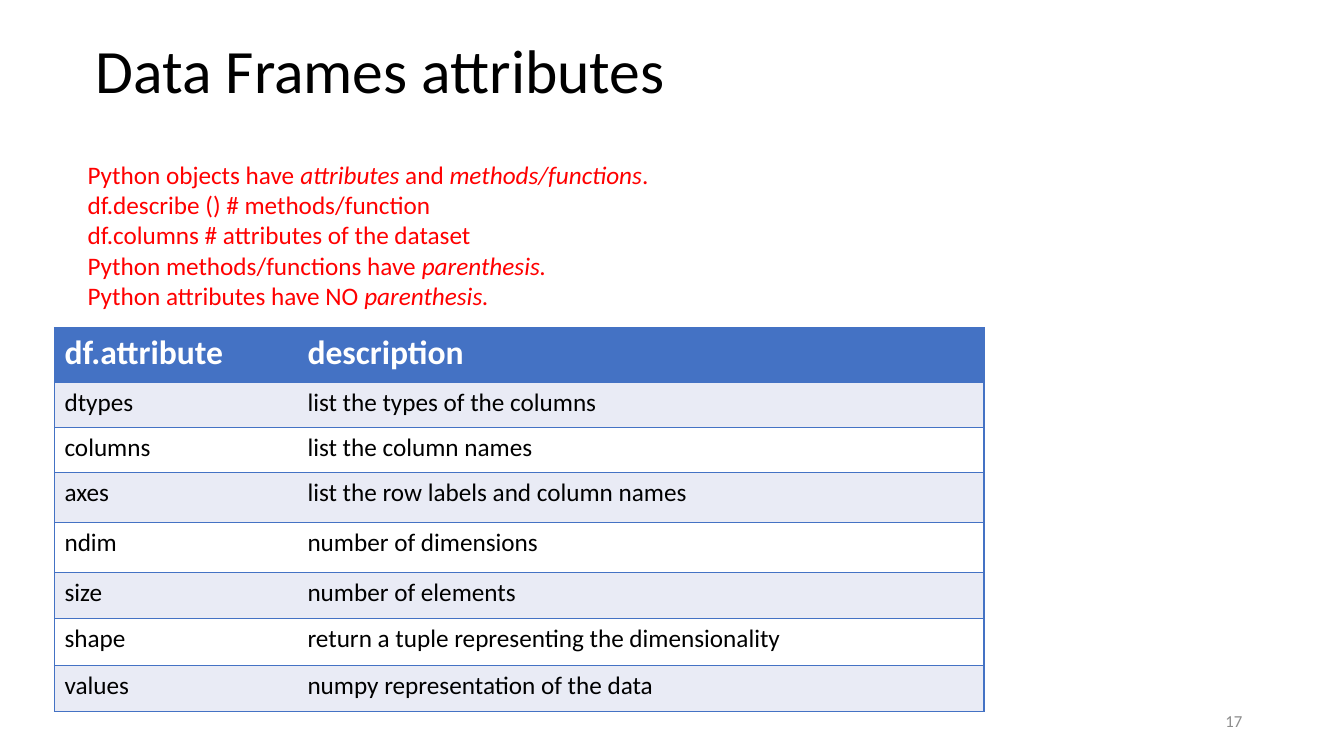
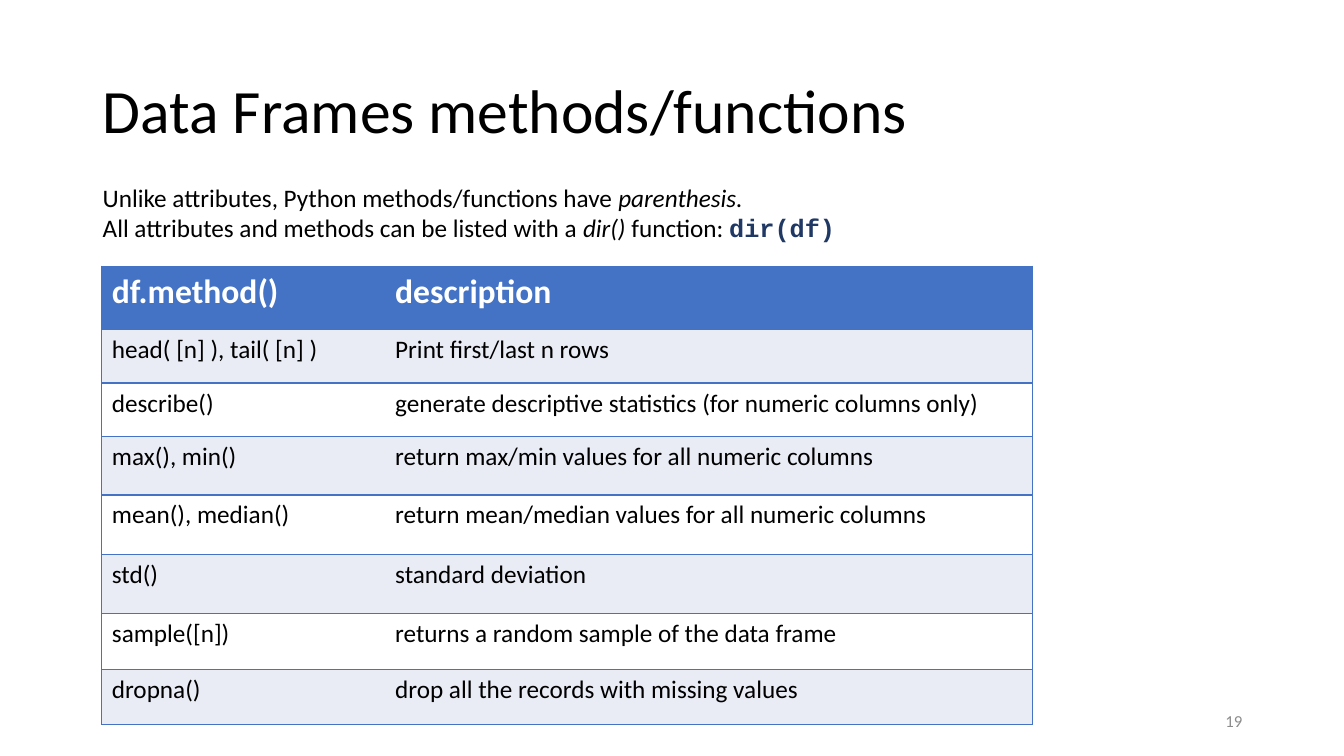
from dataclasses import dataclass

from lxml.etree import SubElement
from pptx import Presentation
from pptx.dml.color import RGBColor
from pptx.enum.text import MSO_ANCHOR, MSO_AUTO_SIZE, PP_ALIGN
from pptx.oxml.ns import qn
from pptx.util import Pt

EMU_PER_PX = 9144  # 100 px to the inch


@dataclass(frozen=True)
class Theme:
    font: str = "Calibri"
    code_font: str = "Courier New"
    black: RGBColor = RGBColor(0x00, 0x00, 0x00)
    white: RGBColor = RGBColor(0xFF, 0xFF, 0xFF)
    red: RGBColor = RGBColor(0xFF, 0x00, 0x00)
    gray: RGBColor = RGBColor(0x8C, 0x8C, 0x8C)
    navy: RGBColor = RGBColor(0x20, 0x38, 0x64)
    blue: RGBColor = RGBColor(0x44, 0x72, 0xC4)
    band: RGBColor = RGBColor(0xE9, 0xEB, 0xF5)
    title_size: int = 44
    header_size: int = 24
    body_size: int = 18
    number_size: int = 12
    border_width: int = 1


THEME = Theme()


@dataclass(frozen=True)
class Span:
    text: str
    italic: bool = False
    code: bool = False


def px(length):
    return length * EMU_PER_PX


def style(font, size, color, bold=False, italic=False, name=THEME.font):
    font.name = name
    font.size = Pt(size)
    font.color.rgb = color
    font.bold = bold
    font.italic = italic


def add_text_box(page, left, top, width, height, anchor=MSO_ANCHOR.TOP):
    box = page.shapes.add_textbox(px(left), px(top), px(width), px(height))
    frame = box.text_frame
    frame.word_wrap = True
    frame.vertical_anchor = anchor
    return frame


# Parts shared by the pages
def add_title(page, left, top, text):
    frame = add_text_box(page, left, top, 1150, 145, MSO_ANCHOR.MIDDLE)
    frame.text = text
    para = frame.paragraphs[0]
    para.line_spacing = 0.9
    style(para.runs[0].font, THEME.title_size, THEME.black)


def add_page_number(page, number):
    frame = add_text_box(page, 942, 695, 300, 40, MSO_ANCHOR.MIDDLE)
    frame.text = str(number)
    para = frame.paragraphs[0]
    para.alignment = PP_ALIGN.RIGHT
    style(para.runs[0].font, THEME.number_size, THEME.gray)


def add_page(deck, title, title_left, title_top, number):
    page = deck.slides.add_slide(deck.slide_layouts[6])
    add_title(page, title_left, title_top, title)
    add_page_number(page, number)
    return page


# Introductory lines made of plain, italic and code spans
def add_intro(page, left, top, height, lines, color):
    frame = add_text_box(page, left, top, 819, height)
    frame.auto_size = MSO_AUTO_SIZE.SHAPE_TO_FIT_TEXT
    for index, spans in enumerate(lines):
        para = frame.add_paragraph() if index else frame.paragraphs[0]
        for span in spans:
            run = para.add_run()
            run.text = span.text
            if span.code:
                style(run.font, THEME.body_size, THEME.navy, bold=True,
                      name=THEME.code_font)
            else:
                style(run.font, THEME.body_size, color, italic=span.italic)


# Reference table
def set_borders(cell, visible_sides):
    properties = cell._tc.get_or_add_tcPr()
    for side in "LRTB":
        line = SubElement(properties, qn(f"a:ln{side}"),
                          w=str(Pt(THEME.border_width)))
        if side in visible_sides:
            fill = SubElement(line, qn("a:solidFill"))
            SubElement(fill, qn("a:srgbClr"), val=str(THEME.blue))
        else:
            SubElement(line, qn("a:noFill"))


def fill_cell(cell, text, row, column):
    cell.text = text
    font = cell.text_frame.paragraphs[0].runs[0].font
    set_borders(cell, "TB" + "LR"[column])
    cell.fill.solid()
    if row == 0:
        style(font, THEME.header_size, THEME.white, bold=True)
        cell.fill.fore_color.rgb = THEME.blue
    else:
        style(font, THEME.body_size, THEME.black)
        cell.fill.fore_color.rgb = THEME.band if row % 2 else THEME.white


def add_reference_table(page, left, top, widths, heights, rows):
    table = page.shapes.add_table(
        len(rows), len(widths), px(left), px(top),
        px(sum(widths)), px(sum(heights))).table
    table.horz_banding = False
    for column, width in zip(table.columns, widths):
        column.width = px(width)
    for row, height in zip(table.rows, heights):
        row.height = px(height)
    for row_index, texts in enumerate(rows):
        for column_index, text in enumerate(texts):
            fill_cell(table.cell(row_index, column_index), text,
                      row_index, column_index)


# Pages
def add_attributes_page(deck):
    page = add_page(deck, "Data Frames attributes", 85, 0, 17)
    lines = [
        [Span("Python objects have "), Span("attributes", italic=True),
         Span(" and "), Span("methods/functions", italic=True), Span(".")],
        [Span("df.describe () # methods/function")],
        [Span("df.columns # attributes of the dataset")],
        [Span("Python methods/functions have "),
         Span("parenthesis.", italic=True)],
        [Span("Python attributes have NO "),
         Span("parenthesis.", italic=True)],
    ]
    add_intro(page, 77, 153, 162, lines, THEME.red)
    rows = [
        ("df.attribute", "description"),
        ("dtypes", "list the types of the columns"),
        ("columns", "list the column names"),
        ("axes", "list the row labels and column names"),
        ("ndim", "number of dimensions"),
        ("size", "number of elements"),
        ("shape", "return a tuple representing the dimensionality"),
        ("values", "numpy representation of the data"),
    ]
    add_reference_table(page, 54, 325, [241, 681],
                        [54, 45, 45, 49, 50, 46, 46, 46], rows)


def add_methods_page(deck):
    page = add_page(deck, "Data Frames methods/functions", 92, 40, 19)
    rows = [
        ("df.method()", "description"),
        ("head( [n] ), tail( [n] )", "Print first/last n rows"),
        ("describe()",
         "generate descriptive statistics (for numeric columns only)"),
        ("max(), min()", "return max/min values for all numeric columns"),
        ("mean(), median()",
         "return mean/median values for all numeric columns"),
        ("std()", "standard deviation"),
        ("sample([n])", "returns a random sample of the data frame"),
        ("dropna()", "drop all the records with missing values"),
    ]
    add_reference_table(page, 101, 264, [281, 642],
                        [63, 53, 53, 58, 59, 59, 55, 55], rows)
    lines = [
        [Span("Unlike attributes, Python methods/functions have "),
         Span("parenthesis.", italic=True)],
        [Span("All attributes and methods can be listed with a "),
         Span("dir() ", italic=True), Span("function: "),
         Span("dir(df)", code=True)],
    ]
    add_intro(page, 92, 176, 71, lines, THEME.black)


def main():
    deck = Presentation()
    deck.slide_width = px(1333)
    deck.slide_height = px(750)
    add_attributes_page(deck)
    add_methods_page(deck)
    deck.save("out.pptx")


if __name__ == "__main__":
    main()
